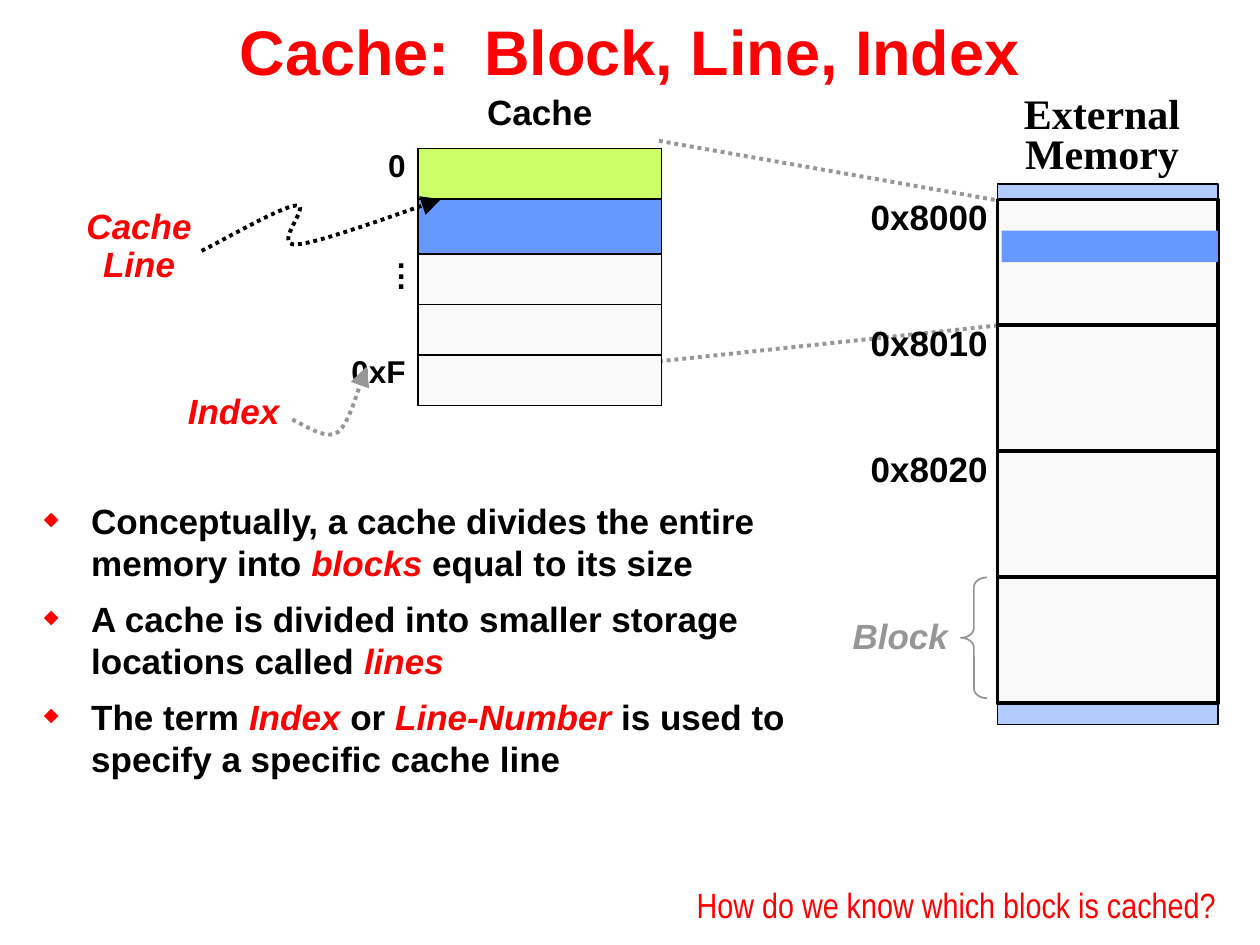
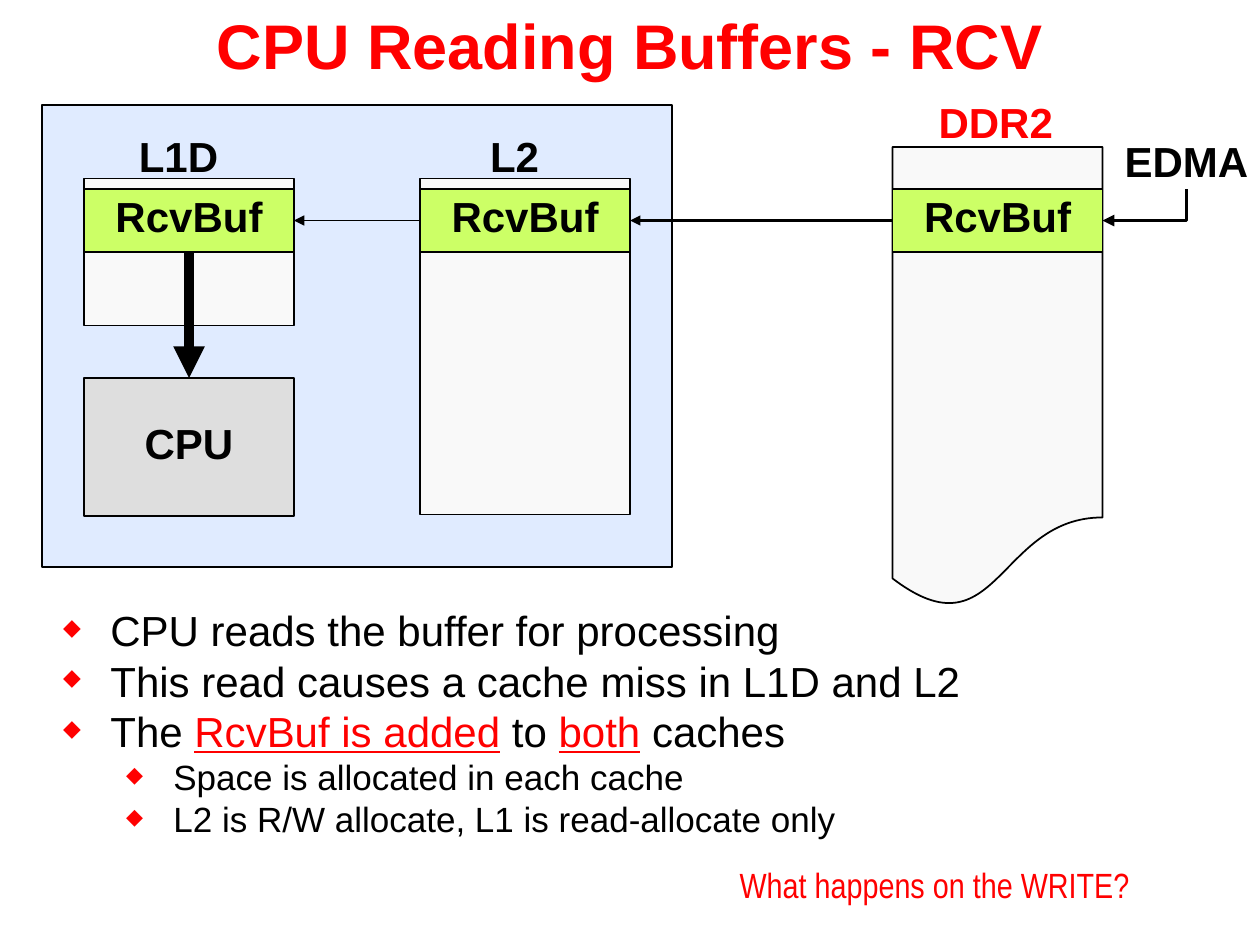
from lxml import etree
from pptx import Presentation
from pptx import util as u
from pptx.dml import color
from pptx.enum import dml, shapes, text
from pptx.oxml import ns

RED, BLACK, GRAY = "FF0000", "000000", "969696"
GREEN, BLUE, PALE = "CCFF66", "6699FF", "F9F9F9"
CENTER, RIGHT = text.PP_ALIGN.CENTER, text.PP_ALIGN.RIGHT
TOP, MIDDLE, BOTTOM = text.MSO_ANCHOR.TOP, text.MSO_ANCHOR.MIDDLE, text.MSO_ANCHOR.BOTTOM
RECT = shapes.MSO_SHAPE.RECTANGLE
NO_STYLE = "{2D5ABB26-0587-4C30-8999-92F81FD0307C}"

LABEL = {"name": "Arial", "size": u.Pt(20), "bold": True}
BIG_LABEL = {**LABEL, "size": u.Pt(24)}
SERIF_LABEL = {**BIG_LABEL, "name": "Times New Roman"}
TERM = {**LABEL, "italic": True}
CELL_LABEL = {**LABEL, "size": u.Pt(18)}
TITLE = {**LABEL, "size": u.Pt(36)}
QUESTION = {"name": "Arial Narrow", "size": u.Pt(20)}
POINT = {"name": "Arial", "size": u.Pt(24)}
SUBPOINT = {"name": "Arial", "size": u.Pt(20)}


def rgb(value):
    return color.RGBColor.from_string(value)


def assign(target, values):
    for name, value in values.items():
        setattr(target, name, value)


def child(parent, tag, **attributes):
    return etree.SubElement(parent, ns.qn(tag), attributes)


def points(*lengths):
    return [u.Pt(length) for length in lengths]


def write(paragraph, words, font, ink=BLACK, stress=None, **layout):
    assign(paragraph, layout)
    for position, part in enumerate(words.split("*")):
        if not part:
            continue
        run = paragraph.add_run()
        run.text = part
        assign(run.font, font)
        run.font.color.rgb = rgb(ink)
        if position % 2:
            assign(run.font, stress)
            run.font.color.rgb = rgb(RED)


def write_lines(frame, lines, font, ink=BLACK, align=CENTER, spacing=None):
    for number, words in enumerate(lines):
        paragraph = frame.add_paragraph() if number else frame.paragraphs[0]
        write(paragraph, words, font, ink, alignment=align, line_spacing=spacing)


def add_label(slide, box, words, font, ink=BLACK, align=CENTER, spacing=0.8,
              anchor=TOP, inset=3.6):
    frame = slide.shapes.add_textbox(*points(*box)).text_frame
    assign(frame, {"word_wrap": False, "vertical_anchor": anchor,
                   "margin_left": 0, "margin_right": 0,
                   "margin_top": u.Pt(inset), "margin_bottom": u.Pt(inset)})
    write_lines(frame, words.split("\n"), font, ink, align, spacing)


def add_title(slide, words, height):
    add_label(slide, (0, 0, 720, height), words, TITLE, RED, spacing=None, anchor=MIDDLE)


def add_question(slide, box, words, **layout):
    add_label(slide, box, words, QUESTION, RED, RIGHT, inset=0, **layout)


def add_bullets(slide, box, items, stress, gap=0):
    frame = slide.shapes.add_textbox(*points(*box)).text_frame
    frame.word_wrap = True
    for number, (level, words, font) in enumerate(items):
        paragraph = frame.add_paragraph() if number else frame.paragraphs[0]
        if number and gap:
            paragraph.space_before = u.Pt(gap)
        paragraph.level = level
        properties = paragraph._p.get_or_add_pPr()
        properties.set("marL", str(u.Pt(27 + 36 * level)))
        properties.set("indent", str(u.Pt(-27)))
        child(child(properties, "a:buClr"), "a:srgbClr", val=RED)
        child(properties, "a:buSzPct", val=("55000", "63000")[level])
        child(properties, "a:buChar", char="◆")
        write(paragraph, words, font, stress=stress)


def add_block(slide, box, fill=PALE, outline=BLACK, weight=1, kind=RECT, words="", opacity=None):
    block = slide.shapes.add_shape(kind, *points(*box))
    block.shadow.inherit = False
    if fill:
        block.fill.solid()
        block.fill.fore_color.rgb = rgb(fill)
    else:
        block.fill.background()
    if opacity:
        tint = block._element.spPr.find(".//" + ns.qn("a:srgbClr"))
        child(tint, "a:alpha", val=str(opacity * 1000))
    if outline:
        block.line.color.rgb = rgb(outline)
        block.line.width = u.Pt(weight)
    else:
        block.line.fill.background()
    if words:
        assign(block.text_frame, {"word_wrap": False, "vertical_anchor": MIDDLE})
        write_lines(block.text_frame, [words], BIG_LABEL, spacing=0.8)
    return block


def style_line(line, ink, weight, dotted=False, arrow=None):
    line.color.rgb = rgb(ink)
    line.width = u.Pt(weight)
    if dotted:
        line.dash_style = dml.MSO_LINE.ROUND_DOT
    if arrow:
        child(line._get_or_add_ln(), "a:tailEnd", type="triangle", w=arrow, len=arrow)


def add_wire(slide, start, end, ink=BLACK, weight=1.0, kind=shapes.MSO_CONNECTOR.STRAIGHT, **style):
    wire = slide.shapes.add_connector(kind, *points(*start, *end))
    style_line(wire.line, ink, weight, **style)
    child(wire._element.spPr, "a:effectLst")
    return wire


def join(slide, source, source_side, target, target_side, weight):
    wire = add_wire(slide, (0, 0), (0, 0), weight=weight, arrow="med")
    wire.begin_connect(source, source_side)
    wire.end_connect(target, target_side)


def bezier(p0, p1, p2, p3, steps=16):
    for step in range(1, steps + 1):
        t = step / steps
        weights = ((1 - t) ** 3, 3 * t * (1 - t) ** 2, 3 * t * t * (1 - t), t ** 3)
        yield tuple(sum(w * p[axis] for w, p in zip(weights, (p0, p1, p2, p3)))
                    for axis in (0, 1))


def add_curve(slide, knots, ink):
    track = [tuple(points(*spot))
             for i in range(0, len(knots) - 1, 3) for spot in bezier(*knots[i:i + 4])]
    builder = slide.shapes.build_freeform(*points(*knots[0]))
    builder.add_line_segments(track, close=False)
    curve = builder.convert_to_shape()
    curve.shadow.inherit = False
    curve.fill.background()
    style_line(curve.line, ink, 2.25, dotted=True, arrow="lg")


def frame_cell(cell):
    properties = cell._tc.get_or_add_tcPr()
    for side in "LRTB":
        edge = child(properties, f"a:ln{side}", w=str(u.Pt(1)))
        child(child(edge, "a:solidFill"), "a:srgbClr", val=BLACK)


def add_cache_table(slide):
    heights = (31, 28.8, 31.4, 28.6, 28.8, 28.8, 28.8, 28.8)
    widths = (111.5, 61.5, 139)
    line_fills = {1: GREEN, 2: BLUE, 3: PALE, 4: PALE, 5: PALE}
    frame = slide.shapes.add_table(len(heights), len(widths),
                                   *points(66, 54, sum(widths), sum(heights)))
    cache = frame.table
    assign(cache, {"first_row": False, "horz_banding": False})
    cache._tbl.tblPr.find(ns.qn("a:tableStyleId")).text = NO_STYLE
    for column, width in zip(cache.columns, widths):
        column.width = u.Pt(width)
    for row, height in zip(cache.rows, heights):
        row.height = u.Pt(height)
    for cell in cache.iter_cells():
        cell.fill.background()
    for row, fill in line_fills.items():
        cell = cache.cell(row, 2)
        cell._tc.remove(cell._tc.tcPr)
        frame_cell(cell)
        cell.fill.solid()
        cell.fill.fore_color.rgb = rgb(fill)
    write_lines(cache.cell(0, 2).text_frame, ["Cache"], LABEL, spacing=0.8)
    for row, lines, spacing in ((1, ["0"], 0.8), (3, [".", ".", "."], 0.3), (5, ["0xF"], 0.8)):
        write_lines(cache.cell(row, 1).text_frame, lines, CELL_LABEL,
                    align=RIGHT, spacing=spacing)


def build_cache_slide(slide):
    for start, end in (((376.5, 80.5), (570, 114.5)), ((376.5, 206.5), (570, 186))):
        add_wire(slide, start, end, GRAY, 2.25, dotted=True)
    add_title(slide, "Cache:  Block, Line, Index", 58)
    add_label(slide, (577.5, 52, 104.5, 54), "External\nMemory", SERIF_LABEL)
    add_block(slide, (570, 105, 126, 309), BLUE, opacity=50)
    block_tops = [114 + 72 * i for i in range(4)]
    for top in block_tops:
        add_block(slide, (570, top, 126, 72), weight=2.25)
    for top, address in zip(block_tops, ("0x8000", "0x8010", "0x8020")):
        add_label(slide, (490, top, 82, 24), address, LABEL, anchor=MIDDLE)
    add_bullets(slide, (18, 282, 456, 171), [
        (0, "Conceptually, a cache divides the entire memory into *blocks* equal to its size", LABEL),
        (0, "A cache is divided into smaller storage locations called *lines*", LABEL),
        (0, "The term *Index* or *Line-Number* is used to specify a specific cache line", LABEL),
    ], {"italic": True}, gap=8)
    add_cache_table(slide)
    brace = add_block(slide, (549, 330, 15, 69), None, GRAY, kind=shapes.MSO_SHAPE.LEFT_BRACE)
    brace.adjustments[0] = 0.37
    add_label(slide, (480, 352, 69, 27), "Block", TERM, GRAY)
    add_label(slide, (42, 116, 75, 50), "Cache\nLine", TERM, RED, spacing=0.9)
    add_curve(slide, [(115.2, 143.3), (124.5, 139), (160.5, 118), (169.2, 117.4),
                      (178.5, 116.6), (155.5, 140.4), (169.2, 139.7),
                      (182.9, 139), (234.7, 119.5), (252, 113.8)], BLACK)
    add_label(slide, (100, 222, 67, 29), "Index", TERM, RED, spacing=0.9)
    add_curve(slide, [(167, 239.8), (171.4, 241.2), (185.8, 252), (193, 247),
                      (200.2, 241.9), (205.9, 217.4), (209.5, 209.5)], GRAY)
    add_question(slide, (396, 504.7, 299, 24.5), "How do we know which block is cached?",
                 spacing=None)
    add_block(slide, (572.4, 131.8, 123.6, 18), BLUE, None)


def build_buffer_slide(slide):
    add_block(slide, (510, 84, 120, 264), kind=shapes.MSO_SHAPE.FLOWCHART_DOCUMENT)
    add_title(slide, "CPU Reading Buffers - RCV", 51)
    add_block(slide, (24, 60, 360, 264), "E0EBFF")
    add_block(slide, (240, 102, 120, 192))
    cpu = add_block(slide, (48, 216, 120, 79), "DEDEDE", words="CPU")
    add_block(slide, (48, 102, 120, 84))
    for box, memory, ink in (((252, 72, 84, 39.5), "L2", BLACK),
                             ((60, 72, 84, 39.5), "L1D", BLACK),
                             ((527, 52.5, 84, 39.5), "DDR2", RED),
                             ((636, 81, 84, 27), "EDMA", BLACK)):
        add_label(slide, box, memory, BIG_LABEL, ink, anchor=MIDDLE)
    ddr2_buffer, l1d_buffer, l2_buffer = [
        add_block(slide, (left, 108, 120, 36), GREEN, words="RcvBuf") for left in (510, 48, 240)]
    edma_feed = add_wire(slide, (645, 93), (663, 141), weight=2.25,
                         kind=shapes.MSO_CONNECTOR.ELBOW, arrow="med")
    edma_feed._element.spPr.find(ns.qn("a:prstGeom")).set("prst", "bentConnector2")
    edma_feed._element.spPr.find(ns.qn("a:xfrm")).set("rot", "5400000")
    join(slide, ddr2_buffer, 1, l2_buffer, 3, 1.5)
    join(slide, l2_buffer, 1, l1d_buffer, 3, 1)
    join(slide, l1d_buffer, 2, cpu, 0, 6)
    add_bullets(slide, (29, 342, 540, 143), [
        (0, "CPU reads the buffer for processing", POINT),
        (0, "This read causes a cache miss in L1D and L2", POINT),
        (0, "The *RcvBuf is added* to *both* caches", POINT),
        (1, "Space is allocated in each cache", SUBPOINT),
        (1, "L2 is R/W allocate, L1 is read-allocate only", SUBPOINT),
    ], {"underline": True})
    add_question(slide, (421, 498, 224.5, 19.5), "What happens on the WRITE?", anchor=BOTTOM)


def main():
    deck = Presentation()
    assign(deck, {"slide_width": u.Pt(720), "slide_height": u.Pt(540)})
    for build in (build_cache_slide, build_buffer_slide):
        build(deck.slides.add_slide(deck.slide_layouts[6]))
    deck.save("out.pptx")


if __name__ == "__main__":
    main()
